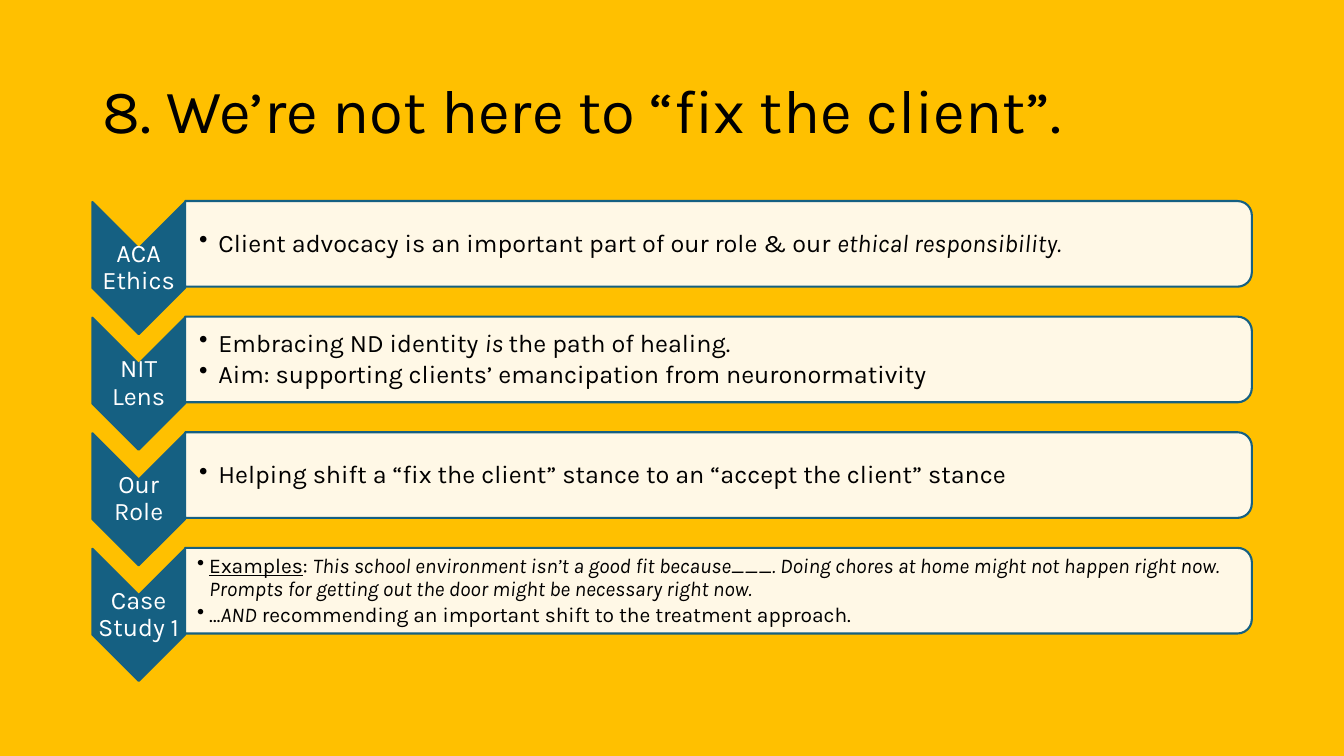
"""Builds a slide of four chevron-labelled panels under a title."""
import pptx
import pptx.dml.color
import pptx.enum.shapes
import pptx.enum.text
import pptx.oxml
import pptx.oxml.ns
import pptx.util

WIDTH, HEIGHT = pptx.util.Inches(13.33), pptx.util.Inches(7.5)
AMBER, TEAL, BLACK, WHITE = "FFC000", "156082", "000000", "FFFFFF"
ROW_TOP, ROW_STEP = 26.6, 15.29
LABEL_LEFT, LABEL_WIDTH = 6.87, 6.9
PANEL_LEFT, PANEL_WIDTH = 13.77, 79.37
PLAIN, ITALIC, UNDERLINED = {}, {"italic": True}, {"underline": True}
LARGE = {"size": 18, "indent": 0.19, "inset": 0.14}
SMALL = {"size": 15, "indent": 0.12, "inset": 0.12}
SHAPES = pptx.enum.shapes.MSO_SHAPE
ALIGN = pptx.enum.text.PP_ALIGN

ROWS = [
    ("ACA Ethics", LARGE, [
        [("Client advocacy is an important part of our role & our ", PLAIN),
         ("ethical responsibility.", ITALIC)],
    ]),
    ("NIT Lens", LARGE, [
        [("Embracing ND identity ", PLAIN), ("is ", ITALIC), ("the path of healing.", PLAIN)],
        [("Aim: supporting clients’ emancipation from neuronormativity", PLAIN)],
    ]),
    ("Our Role", LARGE, [
        [("Helping shift a “fix the client” stance to an “accept the client” stance", PLAIN)],
    ]),
    ("Case Study 1", SMALL, [
        [("Examples", UNDERLINED), (": ", PLAIN),
         ("This school environment isn’t a good fit because___. Doing chores at home might not "
          "happen right now. Prompts for getting out the door might be necessary right now.",
          ITALIC)],
        [("…", PLAIN), ("AND", ITALIC),
         (" recommending an important shift to the treatment approach.", PLAIN)],
    ]),
]


def assign(target, values):
    """Set each named attribute of the target."""
    for name, value in values.items():
        setattr(target, name, value)


def paint(color_format, color):
    """Colour a fill or a font from a hex string."""
    if hasattr(color_format, "solid"):
        color_format.solid()
        color_format = color_format.fore_color
    color_format.rgb = pptx.dml.color.RGBColor.from_string(color)


def area(left, top, width, height):
    """Turn percentages of the slide into a rectangle."""
    return (int(WIDTH * left / 100), int(HEIGHT * top / 100),
            int(WIDTH * width / 100), int(HEIGHT * height / 100))


def add_quarter_turned(page, kind, rectangle, fill, opacity=100):
    """Add a shape turned by 90 degrees that covers the rectangle."""
    left, top, width, height = rectangle
    shift = (width - height) // 2
    shape = page.shapes.add_shape(kind, left + shift, top - shift, height, width)
    shape.rotation = 90
    shape.shadow.inherit = False
    paint(shape.fill, fill)
    paint(shape.line.fill, TEAL)
    shape.line.width = pptx.util.Pt(1.5)
    if opacity < 100:
        color = shape.fill._xPr.find(".//" + pptx.oxml.ns.qn("a:srgbClr"))
        alpha = color.makeelement(pptx.oxml.ns.qn("a:alpha"), {"val": str(opacity * 1000)})
        color.append(alpha)


def add_spans(para, spans, size, color, space_after=0, align=ALIGN.LEFT):
    """Write formatted spans into a paragraph."""
    assign(para, {"alignment": align, "line_spacing": 0.9, "space_before": pptx.util.Pt(0),
                  "space_after": pptx.util.Pt(size * space_after)})
    for text, style in spans:
        span = para.add_run()
        span.text = text
        assign(span.font, {"name": "Karla", "size": pptx.util.Pt(size), **style})
        paint(span.font.fill, color)


def add_bullet(para, indent):
    """Give a paragraph a round bullet with a hanging indent."""
    hang = pptx.util.Inches(indent)
    settings = para._p.get_or_add_pPr()
    settings.set("marL", str(hang))
    settings.set("indent", str(-hang))
    settings.append(settings.makeelement(pptx.oxml.ns.qn("a:buChar"), {"char": "•"}))


def add_frame(page, rectangle, inset=0.01):
    """Add a wrapping, vertically centred text box and return its frame."""
    frame = page.shapes.add_textbox(*rectangle).text_frame
    edge = pptx.util.Inches(0.01)
    assign(frame, {"word_wrap": True, "vertical_anchor": pptx.enum.text.MSO_ANCHOR.MIDDLE,
                   "margin_left": pptx.util.Inches(inset), "margin_right": edge,
                   "margin_top": edge, "margin_bottom": edge})
    return frame


def add_title(page, text):
    """Fill and place the title placeholder."""
    box = page.shapes.title
    assign(box, dict(zip(("left", "top", "width", "height"), area(6.9, 5.33, 86.27, 19.33))))
    assign(box.text_frame, {"vertical_anchor": pptx.enum.text.MSO_ANCHOR.MIDDLE,
                            "auto_size": pptx.enum.text.MSO_AUTO_SIZE.NONE})
    add_spans(box.text_frame.paragraphs[0], [(text, PLAIN)], 44, BLACK)


def add_label(page, top, text):
    """Add a downward chevron with its caption."""
    add_quarter_turned(page, SHAPES.CHEVRON,
                       area(LABEL_LEFT, top + 0.13, LABEL_WIDTH, 17.47), TEAL)
    frame = add_frame(page, area(LABEL_LEFT, top + 6.2, LABEL_WIDTH, 5.2))
    add_spans(frame.paragraphs[0], [(text, PLAIN)], 18, WHITE, 0.35, ALIGN.CENTER)


def add_panel(page, top, style, items):
    """Add a panel rounded on the right with its bulleted list."""
    add_quarter_turned(page, SHAPES.ROUND_2_SAME_RECTANGLE,
                       area(PANEL_LEFT, top, PANEL_WIDTH, 11.33), WHITE, opacity=90)
    frame = add_frame(page, area(PANEL_LEFT, top + 0.6, PANEL_WIDTH - 0.3, 10.27),
                      style["inset"])
    for index, spans in enumerate(items):
        para = frame.add_paragraph() if index else frame.paragraphs[0]
        add_spans(para, spans, style["size"], BLACK, 0.15)
        add_bullet(para, style["indent"])


def main():
    """Build and save the deck."""
    deck = pptx.Presentation()
    assign(deck, {"slide_width": WIDTH, "slide_height": HEIGHT})
    page = deck.slides.add_slide(deck.slide_layouts.get_by_name("Title Only"))
    paint(page.background.fill, AMBER)
    add_title(page, "8. We’re not here to “fix the client”.")
    for index, (label, style, items) in enumerate(ROWS):
        top = ROW_TOP + index * ROW_STEP
        add_label(page, top, label)
        add_panel(page, top, style, items)
    deck.save("out.pptx")


if __name__ == "__main__":
    main()
